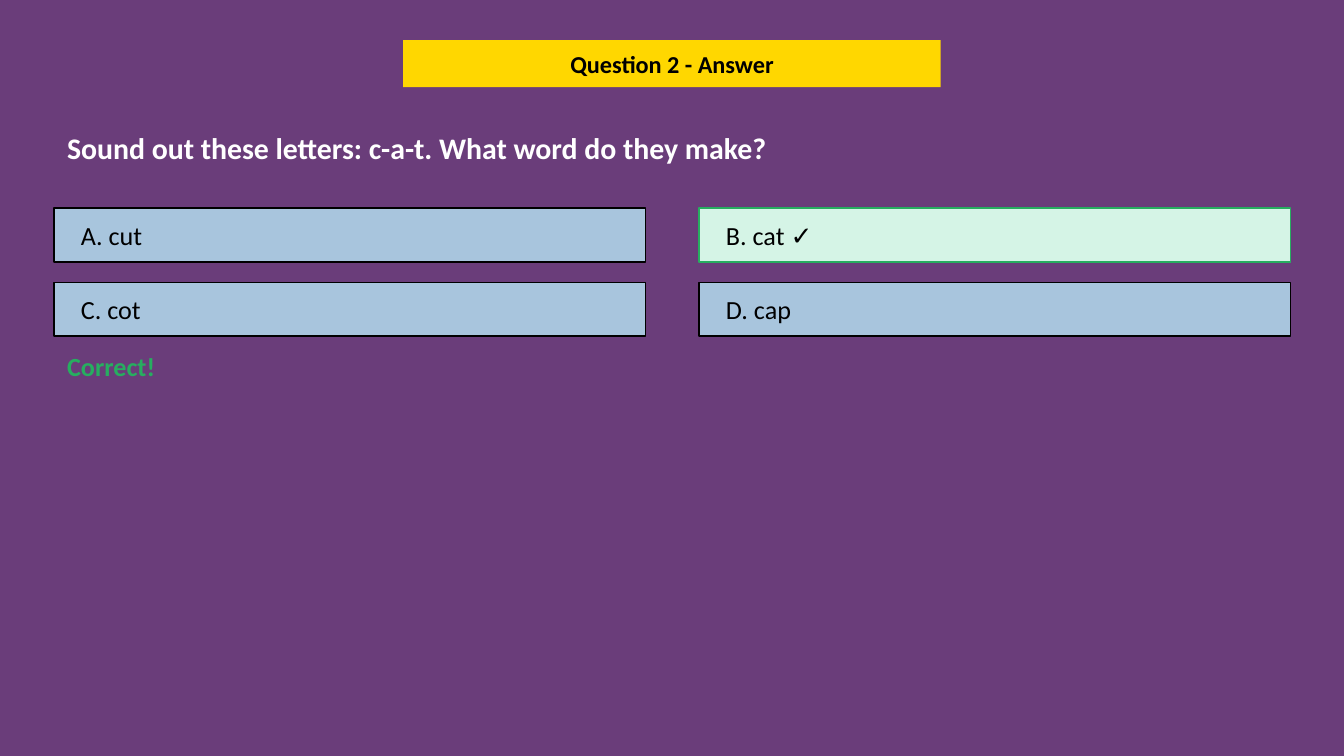
"""Build a quiz answer slide with four options and the correct one highlighted."""
from pptx import Presentation
from pptx.dml.color import RGBColor
from pptx.enum.shapes import MSO_SHAPE
from pptx.enum.text import MSO_ANCHOR, MSO_AUTO_SIZE, PP_ALIGN
from pptx.util import Cm, Pt

RECTANGLE = MSO_SHAPE.RECTANGLE
MIDDLE = MSO_ANCHOR.MIDDLE
NO_AUTOFIT = MSO_AUTO_SIZE.NONE
LEFT, CENTER = PP_ALIGN.LEFT, PP_ALIGN.CENTER

PURPLE = RGBColor(0x6A, 0x3D, 0x7A)
GOLD = RGBColor(0xFF, 0xD7, 0x00)
BLUE = RGBColor(0xA8, 0xC5, 0xDD)
MINT = RGBColor(0xD5, 0xF4, 0xE6)
GREEN = RGBColor(0x27, 0xAE, 0x60)
BLACK = RGBColor(0x00, 0x00, 0x00)
WHITE = RGBColor(0xFF, 0xFF, 0xFF)

MARGIN = Cm(1.02)
CONTENT_WIDTH = Cm(23.37)
OPTION_TOP = Cm(3.94)
OPTION_WIDTH, OPTION_HEIGHT = Cm(11.18), Cm(1.02)
COLUMN_STEP, ROW_STEP = Cm(12.19), Cm(1.4)


def write(shape, text, size, color, bold=False, align=LEFT):
    frame = shape.text_frame
    frame.text = text
    frame.word_wrap = True
    frame.auto_size = NO_AUTOFIT
    frame.vertical_anchor = MIDDLE
    paragraph = frame.paragraphs[0]
    paragraph.alignment = align
    font = paragraph.runs[0].font
    font.name = "Calibri"
    font.size = Pt(size)
    font.bold = bold
    font.color.rgb = color


prs = Presentation()
prs.slide_width, prs.slide_height = Cm(25.4), Cm(14.29)
slide = prs.slides.add_slide(prs.slide_layouts[5])
slide.background.fill.solid()
slide.background.fill.fore_color.rgb = PURPLE

title = slide.shapes.title
title.left, title.top, title.width, title.height = Cm(7.62), Cm(0.76), Cm(10.16), Cm(0.89)
title.fill.solid()
title.fill.fore_color.rgb = GOLD
write(title, "Question 2 - Answer", 13, BLACK, bold=True, align=CENTER)

question = slide.shapes.add_textbox(MARGIN, Cm(2.16), CONTENT_WIDTH, Cm(1.27))
write(question, "Sound out these letters: c-a-t. What word do they make?", 16, WHITE, bold=True)

options = [
    ("A. cut", BLUE, BLACK),
    ("B. cat ✓", MINT, GREEN),
    ("C. cot", BLUE, BLACK),
    ("D. cap", BLUE, BLACK),
]
for index, (answer, fill_color, border_color) in enumerate(options):
    row, column = divmod(index, 2)
    option = slide.shapes.add_shape(
        RECTANGLE,
        MARGIN + column * COLUMN_STEP,
        OPTION_TOP + row * ROW_STEP,
        OPTION_WIDTH,
        OPTION_HEIGHT,
    )
    option.shadow.inherit = False
    option.fill.solid()
    option.fill.fore_color.rgb = fill_color
    option.line.color.rgb = border_color
    option.line.width = Pt(1)
    option.text_frame.margin_left = Cm(0.51)
    write(option, answer, 14, BLACK)

feedback = slide.shapes.add_textbox(MARGIN, Cm(6.48), CONTENT_WIDTH, Cm(0.89))
write(feedback, "Correct!", 14, GREEN, bold=True)

prs.save("out.pptx")
